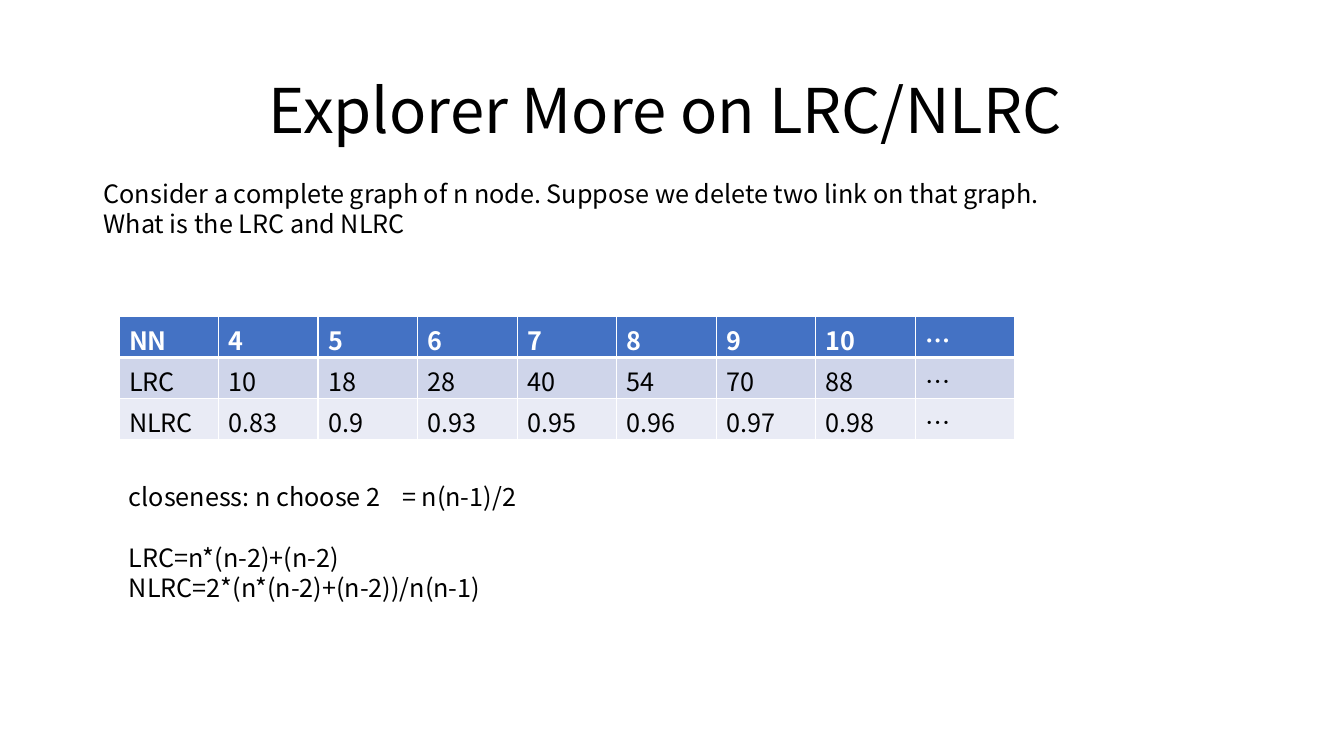
from dataclasses import dataclass

from lxml import etree
from pptx import Presentation
from pptx import util as u
from pptx.dml import color
from pptx.enum import text as t
from pptx.oxml import ns


@dataclass(frozen=True)
class Theme:
    font: str = "Noto Sans CJK SC"
    ink: str = "000000"
    white: str = "FFFFFF"
    head: str = "4472C4"
    bands: tuple[str, str] = ("CFD5EA", "E9EBF5")
    title: float = 44
    body: float = 18
    thin: float = 1
    thick: float = 3


@dataclass(frozen=True)
class Block:
    box: tuple[float, float, float, float]
    lines: tuple[str, ...]
    size: float


LOOK = Theme()

TITLE = Block((0.92, 0.4, 11.5, 1.45), ("Explorer More on LRC/NLRC ",), LOOK.title)
TASK = Block(
    (0.93, 1.72, 10.26, 0.71),
    ("Consider a complete graph of n node. Suppose we delete two link on that graph.",
     "What is the LRC and NLRC"),
    LOOK.body,
)
PROOF = Block(
    (1.18, 4.73, 7.9, 1.62),
    ("closeness: n choose 2\t= n(n-1)/2",
     "LRC=n*(n-2)+(n-2)",
     "NLRC=2*(n*(n-2)+(n-2))/n(n-1)"),
    LOOK.body,
)
ROWS = (
    ("NN", "4", "5", "6", "7", "8", "9", "10", "…"),
    ("LRC", "10", "18", "28", "40", "54", "70", "88", "…"),
    ("NLRC", "0.83", "0.9", "0.93", "0.95", "0.96", "0.97", "0.98", "…"),
)


def style(para, size: float, ink: str = LOOK.ink, bold: bool = False) -> None:
    for run in para.runs:
        font = run.font
        font.name, font.size, font.bold = LOOK.font, u.Pt(size), bold
        font.color.rgb = color.RGBColor.from_string(ink)
        east = etree.SubElement(run._r.get_or_add_rPr(), ns.qn("a:ea"))
        east.set("typeface", LOOK.font)


def write(slide, block: Block):
    frame = slide.shapes.add_textbox(*map(u.Inches, block.box)).text_frame
    frame.word_wrap = True
    frame.text = "\n".join(block.lines)
    for para in frame.paragraphs:
        style(para, block.size)
    return frame


def edge(cell, side: str, width: float) -> None:
    line = etree.SubElement(cell._tc.get_or_add_tcPr(), ns.qn(f"a:ln{side}"))
    line.set("w", str(u.Pt(width)))
    fill = etree.SubElement(line, ns.qn("a:solidFill"))
    etree.SubElement(fill, ns.qn("a:srgbClr")).set("val", LOOK.white)


def tabulate(slide, left: float, top: float, width: float, high: float) -> None:
    grid = slide.shapes.add_table(
        len(ROWS), len(ROWS[0]), *map(u.Inches, (left, top, width, high))
    ).table
    for i, row in enumerate(ROWS):
        is_head = i == 0
        fill = LOOK.head if is_head else LOOK.bands[(i - 1) % 2]
        # The heavy rule lies between the header and the first row
        rules = {
            "L": LOOK.thin,
            "R": LOOK.thin,
            "T": LOOK.thick if i == 1 else LOOK.thin,
            "B": LOOK.thick if is_head else LOOK.thin,
        }
        for j, value in enumerate(row):
            cell = grid.cell(i, j)
            cell.text = value
            style(cell.text_frame.paragraphs[0], LOOK.body,
                  LOOK.white if is_head else LOOK.ink, is_head)
            for side, width in rules.items():
                edge(cell, side, width)
            cell.fill.solid()
            cell.fill.fore_color.rgb = color.RGBColor.from_string(fill)


def main() -> None:
    deck = Presentation()
    deck.slide_width, deck.slide_height = u.Inches(13.33), u.Inches(7.5)
    slide = deck.slides.add_slide(deck.slide_layouts[6])

    # Title
    title = write(slide, TITLE)
    title.vertical_anchor = t.MSO_ANCHOR.MIDDLE
    title.paragraphs[0].alignment = t.PP_ALIGN.CENTER
    title.paragraphs[0].line_spacing = 0.9

    # Question and table of values
    write(slide, TASK)
    tabulate(slide, 1.18, 3.14, 8.89, 1.22)

    # Formulas: a tab stop before the equals sign, a gap after the first line
    first, second, _ = write(slide, PROOF).paragraphs
    stops = etree.SubElement(first._p.get_or_add_pPr(), ns.qn("a:tabLst"))
    stop = etree.SubElement(stops, ns.qn("a:tab"))
    stop.set("pos", str(u.Inches(2.71)))
    stop.set("algn", "l")
    second.space_before = u.Pt(21.6)

    deck.save("out.pptx")


if __name__ == "__main__":
    main()
